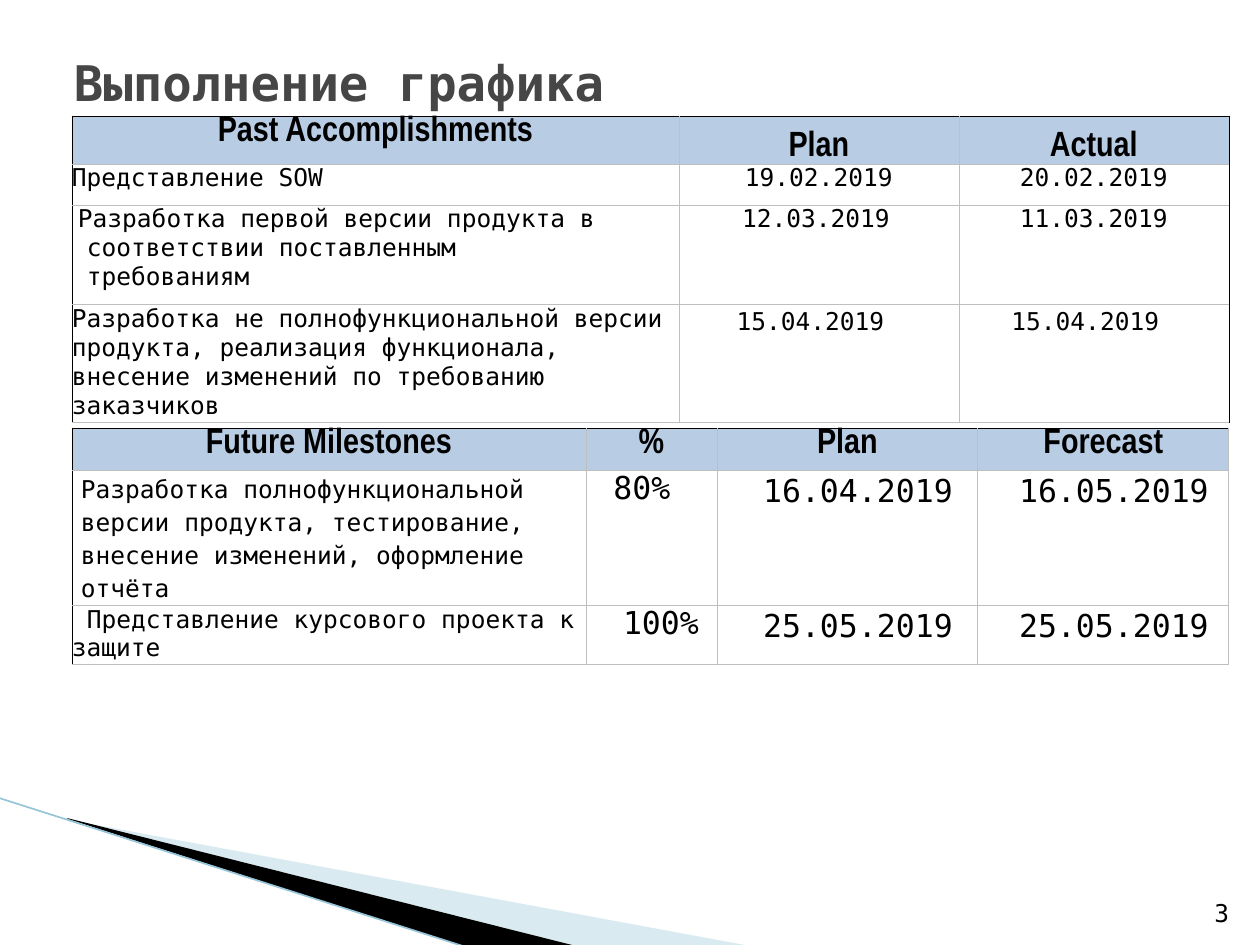
from dataclasses import dataclass

from lxml import etree
from pptx import Presentation
from pptx.dml.color import RGBColor
from pptx.enum.shapes import MSO_CONNECTOR
from pptx.enum.text import MSO_ANCHOR, PP_ALIGN
from pptx.oxml.ns import qn
from pptx.util import Pt

LEFT, CENTER, RIGHT = PP_ALIGN.LEFT, PP_ALIGN.CENTER, PP_ALIGN.RIGHT
TOP, MIDDLE, BOTTOM = MSO_ANCHOR.TOP, MSO_ANCHOR.MIDDLE, MSO_ANCHOR.BOTTOM
STRAIGHT = MSO_CONNECTOR.STRAIGHT

EMU_PER_PX = 914400 / 126
BLANK_LAYOUT = 6


@dataclass(frozen=True)
class Theme:
    mono: str = "DejaVu Sans Mono"
    narrow: str = "Arial Narrow"
    title_color: str = "464646"
    ink: str = "000000"
    grid: str = "BFBFBF"
    header_fill: str = "B8CCE4"
    pale_wedge: str = "A0CBDC"
    accent_line: str = "97C5D8"
    title_size: int = 28
    header_size: int = 20
    large_size: int = 18
    body_size: int = 14
    border_width: float = 0.5
    accent_width: float = 0.95


@dataclass(frozen=True)
class Entry:
    """A table cell; margins are left, top, right, bottom in px."""
    text: str
    align: PP_ALIGN = CENTER
    anchor: MSO_ANCHOR = TOP
    margins: tuple[int, ...] = (0, 0, 0, 0)
    indents: tuple[int, ...] = (0,)
    first_line: int = 0
    size: int = 14
    line_spacing: float | None = None
    header: bool = False


@dataclass(frozen=True)
class Grid:
    left: int
    top: int
    columns: tuple[int, ...]
    rows: tuple[int, ...]
    entries: tuple[tuple[Entry, ...], ...]
    right_border: str


@dataclass(frozen=True)
class Wedge:
    points: tuple[tuple[int, int], ...]
    color: str
    opacity: int = 100


THEME = Theme()


def px(value: float) -> int:
    return round(value * EMU_PER_PX)


def heading(text: str, anchor: MSO_ANCHOR = TOP) -> Entry:
    return Entry(text, anchor=anchor, size=THEME.header_size, header=True)


def large(text: str, left: int = 0, top: int = 0, right: int = 0) -> Entry:
    return Entry(text, margins=(left, top, right, 0), size=THEME.large_size)


def late_date(text: str) -> Entry:
    return large(text, left=21, top=3)


ACCOMPLISHMENTS = Grid(72, 116, (607, 280, 270), (48, 41, 100, 115), (
    (heading("Past Accomplishments"), heading("Plan", BOTTOM), heading("Actual", BOTTOM)),
    (Entry("Представление SOW", LEFT), Entry("19.02.2019"), Entry("20.02.2019")),
    (Entry("Разработка первой версии продукта в\nсоответствии поставленным\nтребованиям",
           LEFT, indents=(6, 15, 15)),
     Entry("12.03.2019", margins=(0, 0, 6, 0)), Entry("11.03.2019")),
    (Entry("Разработка не полнофункциональной версии продукта, реализация функционала, "
           "внесение изменений по требованию заказчиков", LEFT),
     Entry("15.04.2019", margins=(0, 3, 17, 0)), Entry("15.04.2019", margins=(0, 3, 17, 0))),
), THEME.ink)

MILESTONES = Grid(72, 428, (514, 131, 261, 251), (33, 132, 58), (
    tuple(heading(text) for text in ("Future Milestones", "%", "Plan", "Forecast")),
    (Entry("Разработка полнофункциональной версии продукта, тестирование, "
           "внесение изменений, оформление отчёта", LEFT, MIDDLE, (9, 0, 9, 0),
           line_spacing=1.15),
     large("80%", right=19), late_date("16.04.2019"), late_date("16.05.2019")),
    (Entry("Представление курсового проекта к защите", LEFT, first_line=15),
     large("100%", left=19), late_date("25.05.2019"), late_date("25.05.2019")),
), THEME.grid)

WEDGES = (
    Wedge(((69, 820), (750, 946), (575, 946), (69, 819)), THEME.pale_wedge, 40),
    Wedge(((67, 818), (576, 946), (469, 948), (68, 819)), THEME.ink),
)


def write_text(frame, text: str, *, size: int, font: str = THEME.mono, color: str = THEME.ink,
               bold: bool = False, align: PP_ALIGN = LEFT, indents: tuple[int, ...] = (0,),
               first_line: int = 0, line_spacing: float | None = None) -> None:
    frame.word_wrap = True
    for index, line in enumerate(text.split("\n")):
        paragraph = frame.add_paragraph() if index else frame.paragraphs[0]
        paragraph.alignment = align
        if line_spacing:
            paragraph.line_spacing = line_spacing
        properties = paragraph._p.get_or_add_pPr()
        properties.set("marL", str(px(indents[index])))
        properties.set("indent", str(px(first_line)))
        run = paragraph.add_run()
        run.text = line
        run.font.name, run.font.size, run.font.bold = font, Pt(size), bold
        run.font.color.rgb = RGBColor.from_string(color)


def set_margins(target, margins: tuple[int, ...]) -> None:
    (target.margin_left, target.margin_top,
     target.margin_right, target.margin_bottom) = map(px, margins)


def set_borders(cell, colors: dict[str, str]) -> None:
    properties = cell._tc.get_or_add_tcPr()
    for index, (side, color) in enumerate(colors.items()):
        line = etree.Element(qn(f"a:ln{side}"), w=str(Pt(THEME.border_width)))
        fill = etree.SubElement(line, qn("a:solidFill"))
        etree.SubElement(fill, qn("a:srgbClr"), val=color)
        properties.insert(index, line)


def draw_wedge(slide, wedge: Wedge) -> None:
    builder = slide.shapes.build_freeform(*wedge.points[0], scale=EMU_PER_PX)
    builder.add_line_segments(wedge.points[1:], close=True)
    shape = builder.convert_to_shape()
    shape.shadow.inherit = False
    shape.line.fill.background()
    shape.fill.solid()
    shape.fill.fore_color.rgb = RGBColor.from_string(wedge.color)
    if wedge.opacity < 100:
        color = shape._element.spPr.find(f"{qn('a:solidFill')}/{qn('a:srgbClr')}")
        etree.SubElement(color, qn("a:alpha"), val=str(wedge.opacity * 1000))


def draw_accent_line(slide) -> None:
    connector = slide.shapes.add_connector(STRAIGHT, px(-1), px(798), px(469), px(948))
    connector.line.width = Pt(THEME.accent_width)
    connector.line.color.rgb = RGBColor.from_string(THEME.accent_line)
    etree.SubElement(connector._element.spPr, qn("a:effectLst"))


def draw_label(slide, text: str, box: tuple[int, ...], margins: tuple[int, ...],
               anchor: MSO_ANCHOR, **text_format) -> None:
    frame = slide.shapes.add_textbox(*map(px, box)).text_frame
    set_margins(frame, margins)
    frame.vertical_anchor = anchor
    write_text(frame, text, **text_format)


def draw_grid(slide, grid: Grid) -> None:
    table = slide.shapes.add_table(
        len(grid.rows), len(grid.columns), px(grid.left), px(grid.top),
        px(sum(grid.columns)), px(sum(grid.rows))).table
    table.first_row = table.horz_banding = False
    for column, width in zip(table.columns, grid.columns):
        column.width = px(width)
    last = len(grid.columns) - 1
    for r, (height, entries) in enumerate(zip(grid.rows, grid.entries)):
        table.rows[r].height = px(height)
        for c, entry in enumerate(entries):
            cell = table.cell(r, c)
            set_margins(cell, entry.margins)
            cell.vertical_anchor = entry.anchor
            if entry.header:
                cell.fill.solid()
                cell.fill.fore_color.rgb = RGBColor.from_string(THEME.header_fill)
            else:
                cell.fill.background()
            set_borders(cell, {"L": THEME.grid if c else THEME.ink,
                               "R": grid.right_border if c == last else THEME.grid,
                               "T": THEME.grid if r else THEME.ink, "B": THEME.grid})
            write_text(cell.text_frame, entry.text, size=entry.size, bold=entry.header,
                       font=THEME.narrow if entry.header else THEME.mono,
                       align=entry.align, indents=entry.indents,
                       first_line=entry.first_line, line_spacing=entry.line_spacing)


def main() -> None:
    presentation = Presentation()
    presentation.slide_width, presentation.slide_height = px(1260), px(945)
    slide = presentation.slides.add_slide(presentation.slide_layouts[BLANK_LAYOUT])
    # Corner decoration
    for wedge in WEDGES:
        draw_wedge(slide, wedge)
    draw_accent_line(slide)
    # Title, tables and page number
    draw_label(slide, "Выполнение графика", (63, 38, 1134, 88), (11, 5, 11, 5), MIDDLE,
               size=THEME.title_size, color=THEME.title_color, bold=True)
    for grid in (ACCOMPLISHMENTS, MILESTONES):
        draw_grid(slide, grid)
    draw_label(slide, "3", (1187, 883, 55, 50), (13, 6, 13, 6), BOTTOM,
               size=THEME.body_size, align=RIGHT)
    presentation.save("out.pptx")


if __name__ == "__main__":
    main()
